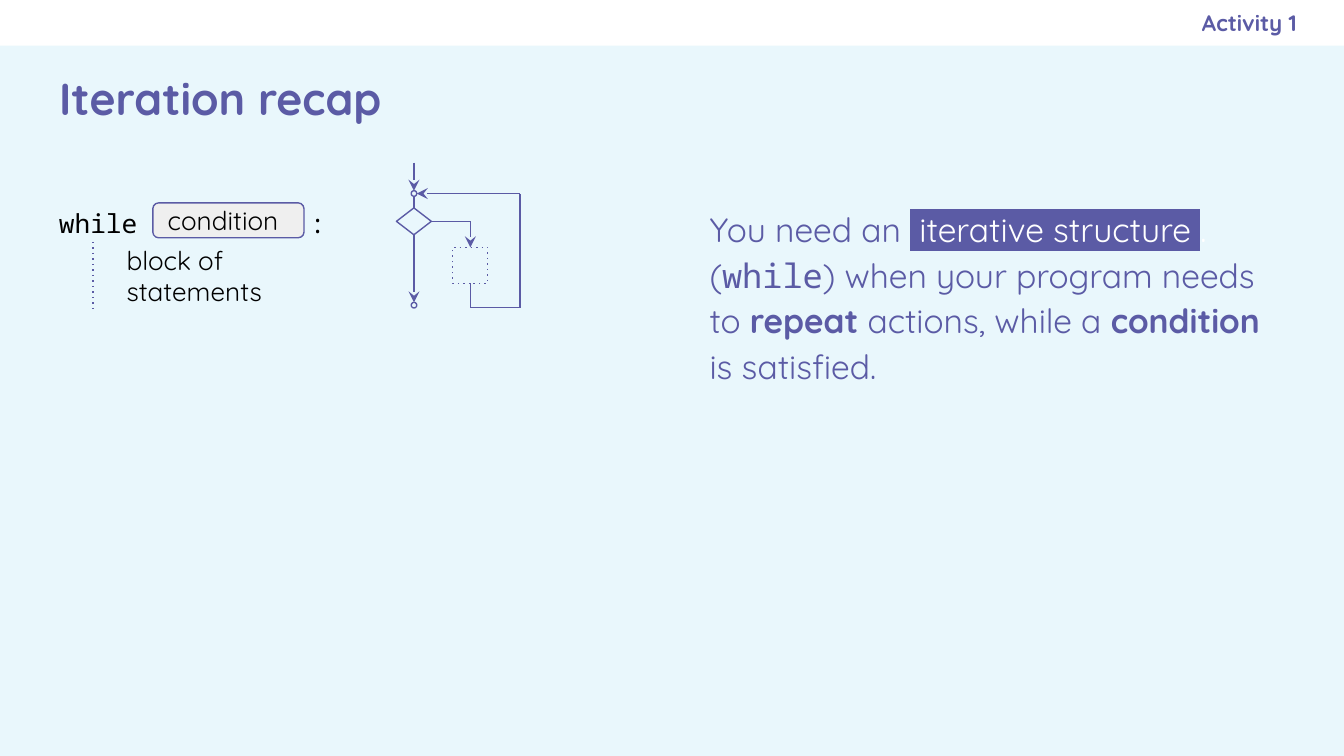
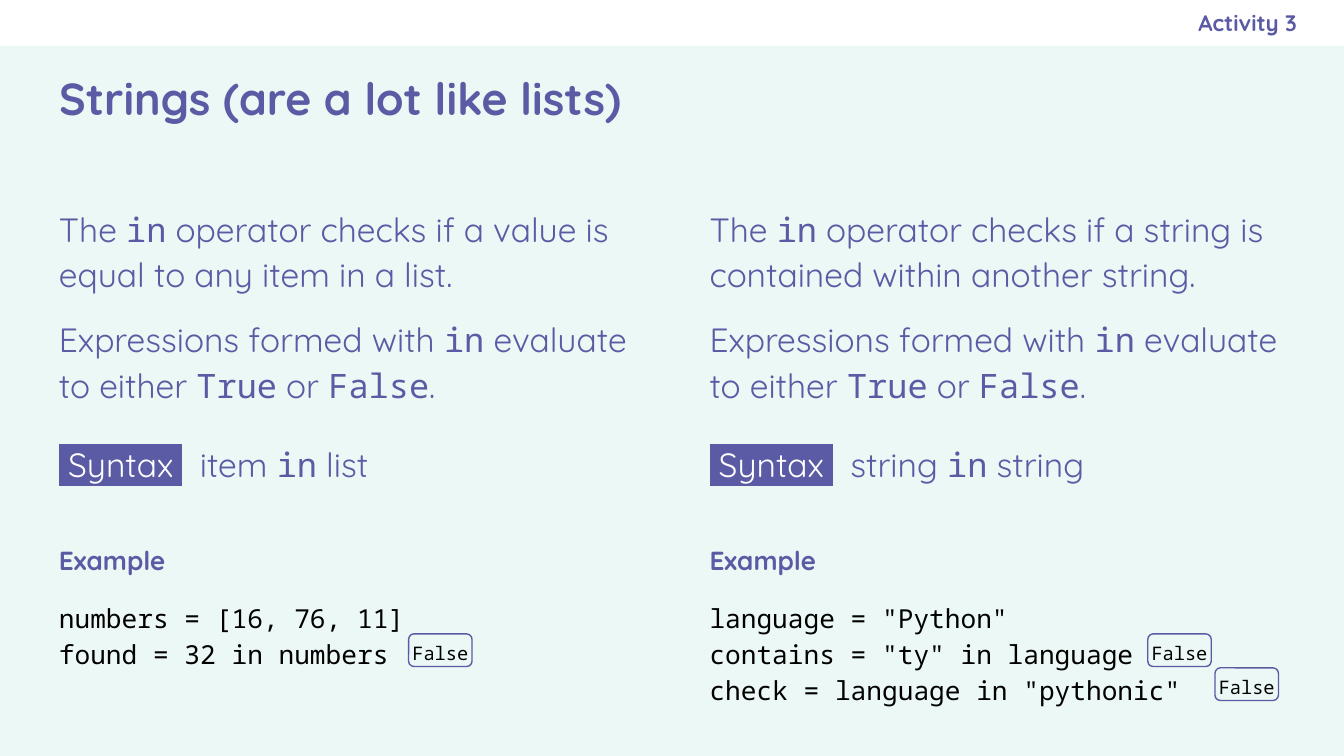
from lxml.etree import SubElement
from pptx import Presentation
from pptx.dml.color import RGBColor
from pptx.enum.shapes import MSO_CONNECTOR, MSO_SHAPE
from pptx.enum.text import MSO_ANCHOR, MSO_AUTO_SIZE, PP_ALIGN
from pptx.oxml.ns import qn
from pptx.util import Pt

VIOLET, WHITE, BLACK, GREY = "5B5BA5", "FFFFFF", "000000", "EFEFEF"
SANS, MONO = "Quicksand", "Noto Sans Mono"
STYLES = {
    "title": (SANS, 24, VIOLET, True),
    "activity": (SANS, 12, VIOLET, True),
    "body": (SANS, 18, VIOLET, False),
    "strong": (SANS, 18, VIOLET, True),
    "keyword": (MONO, 18, VIOLET, False),
    "marked": (SANS, 18, WHITE, False),
    "faint": (SANS, 18, WHITE, False),
    "heading": (SANS, 14, VIOLET, True),
    "label": (SANS, 14, BLACK, False),
    "code": (MONO, 14, BLACK, False),
    "value": (MONO, 10, BLACK, False),
}
BODY_INSETS = (7.2, 7.2, 4.3, 7.2)
EVEN_INSETS = (7.2, 7.2, 7.2, 7.2)
LEFT, RIGHT = 24.5, 373
BODY_TOP, EXAMPLE_TOP = 101.5, 282.2

RECAP = {
    "title": "Iteration recap", "activity": "Activity 1", "background": "E9F7FC",
    "body": [{"spacing": 1.14, "spans": [
        ("You need an ", "body"), (" iterative structure ", "marked"), (".", "faint"),
        (" (", "body"), ("while", "keyword"), (") when your program needs to ", "body"),
        ("repeat", "strong"), (" actions, while a ", "body"), ("condition", "strong"),
        (" is satisfied.", "body")]}],
    "while": [{"spacing": 1.15, "tab": 134.4, "spans": [("while\t:", "code")]}],
    "condition": [{"spans": [("condition", "label")]}],
    "block": [{"spans": [("block of statements", "label")]}],
}
NODES = [
    (MSO_SHAPE.OVAL, (220.3, 102.2, 3, 3), False),
    (MSO_SHAPE.FLOWCHART_DECISION, (212.4, 111.4, 18.7, 14.4), False),
    (MSO_SHAPE.RECTANGLE, (242.6, 132.5, 18.7, 19.4), True),
    (MSO_SHAPE.OVAL, (220.3, 162, 3, 3), False),
]
ROUTES = [
    ([(221.8, 87.1), (221.8, 102.2)], True),
    ([(221.8, 105.2), (221.8, 111.4)], False),
    ([(221.8, 125.8), (221.8, 162)], True),
    ([(231.1, 118.6), (252, 118.6), (252, 132.5)], True),
    ([(252, 151.9), (252, 164.9), (278.6, 164.9), (278.6, 103.7), (223.3, 103.7)], True),
]

STRINGS = {"title": "Strings (are a lot like lists)", "activity": "Activity 3",
           "background": "ECF8F5"}
COLUMNS = [
    {"left": LEFT, "check": " operator checks if a value is equal to any item in a list.",
     "operands": ("item", "list"),
     "code": ["numbers = [16, 76, 11]", "found = 32 in numbers"],
     "results": [(218.9, 339.6)]},
    {"left": RIGHT,
     "check": " operator checks if a string is contained within another string.",
     "operands": ("string", "string"),
     "code": ['language = "Python"', 'contains = "ty" in language',
              'check = language in "pythonic"'],
     "results": [(614.9, 339.6), (650.9, 357.8)]},
]


def color(value):
    """Turn a hex string into a colour."""
    return RGBColor.from_string(value)


def write(frame, paragraphs, insets=EVEN_INSETS, anchor=MSO_ANCHOR.TOP, align=PP_ALIGN.LEFT):
    """Fill a text frame with styled paragraphs."""
    frame.word_wrap = True
    frame.auto_size = MSO_AUTO_SIZE.NONE
    frame.vertical_anchor = anchor
    frame.margin_left, frame.margin_top, frame.margin_right, frame.margin_bottom = map(Pt, insets)
    for index, content in enumerate(paragraphs):
        para = frame.add_paragraph() if index else frame.paragraphs[0]
        if "tab" in content:
            stops = SubElement(para._p.get_or_add_pPr(), qn("a:tabLst"))
            SubElement(stops, qn("a:tab"), pos=str(int(Pt(content["tab"]))), algn="l")
        para.alignment = align
        para.line_spacing = content.get("spacing", 1.0)
        para.space_before = Pt(content.get("before", 0))
        for text, style in content["spans"]:
            span = para.add_run()
            span.text = text
            name, size, ink, bold = STYLES[style]
            span.font.name, span.font.size, span.font.bold = name, Pt(size), bold
            span.font.color.rgb = color(ink)
            if style == "marked":
                properties = span._r.get_or_add_rPr()
                highlight = SubElement(properties, qn("a:highlight"))
                SubElement(highlight, qn("a:srgbClr"), val=VIOLET)
                properties.find(qn("a:solidFill")).addnext(highlight)


def add_text(slide, place, paragraphs, **options):
    """Add a text box."""
    box = slide.shapes.add_textbox(*map(Pt, place))
    write(box.text_frame, paragraphs, **options)


def outline(shape, dotted=False, arrow=False):
    """Draw a thin violet line, dotted or with an arrowhead on request."""
    shape.line.color.rgb = color(VIOLET)
    shape.line.width = Pt(0.75)
    line = shape._element.spPr.find(qn("a:ln"))
    if dotted:
        SubElement(line, qn("a:prstDash"), val="dot")
    if arrow:
        SubElement(line, qn("a:tailEnd"), type="stealth", w="med", len="med")


def add_shape(slide, kind, place, fill=None, lined=True, dotted=False):
    """Add a preset shape without shadow."""
    shape = slide.shapes.add_shape(kind, *map(Pt, place))
    shape.shadow.inherit = False
    if fill:
        shape.fill.solid()
        shape.fill.fore_color.rgb = color(fill)
    else:
        shape.fill.background()
    if lined:
        outline(shape, dotted)
    else:
        shape.line.fill.background()
    return shape


def add_route(slide, points, dotted=False, arrow=False):
    """Join points by straight connectors, with any arrowhead at the end."""
    for start, end in zip(points, points[1:]):
        connector = slide.shapes.add_connector(MSO_CONNECTOR.STRAIGHT, *map(Pt, start + end))
        outline(connector, dotted, arrow and end == points[-1])
        SubElement(connector._element.spPr, qn("a:effectLst"))


def add_slide(deck, content):
    """Add a slide with its background, band, title and activity."""
    slide = deck.slides.add_slide(deck.slide_layouts[5])
    slide.background.fill.solid()
    slide.background.fill.fore_color.rgb = color(content["background"])
    add_shape(slide, MSO_SHAPE.RECTANGLE, (0, 0, 720, 24.5), WHITE, lined=False)
    title = slide.shapes.title
    title.left, title.top, title.width, title.height = map(Pt, (LEFT, 24.5, 671, 55.4))
    write(title.text_frame, [{"spans": [(content["title"], "title")]}], anchor=MSO_ANCHOR.MIDDLE)
    add_text(slide, (414, 0, 280.8, 24.5), [{"spans": [(content["activity"], "activity")]}],
             insets=(7.2, 7.2, 0, 7.2), anchor=MSO_ANCHOR.MIDDLE, align=PP_ALIGN.RIGHT)
    return slide


def add_recap(deck):
    """Build the iteration slide."""
    slide = add_slide(deck, RECAP)
    add_text(slide, (RIGHT, BODY_TOP, 322, 135.4), RECAP["body"], insets=BODY_INSETS)
    add_text(slide, (LEFT, BODY_TOP, 158.4, 67), RECAP["while"])
    condition = add_shape(slide, MSO_SHAPE.ROUNDED_RECTANGLE, (81.9, 108.7, 81, 18.7), GREY)
    write(condition.text_frame, RECAP["condition"], anchor=MSO_ANCHOR.MIDDLE)
    add_route(slide, [(49.8, 129.6), (49.8, 165.6)], dotted=True)
    block = add_shape(slide, MSO_SHAPE.ROUNDED_RECTANGLE, (59, 129.6, 102.2, 36), lined=False)
    write(block.text_frame, RECAP["block"], anchor=MSO_ANCHOR.MIDDLE)
    for kind, place, dotted in NODES:
        add_shape(slide, kind, place, dotted=dotted)
    for points, arrow in ROUTES:
        add_route(slide, points, arrow=arrow)


def add_strings(deck):
    """Build the slide that compares lists and strings."""
    slide = add_slide(deck, STRINGS)
    for column in COLUMNS:
        first, second = column["operands"]
        explanation = [
            {"spacing": 1.14, "spans": [
                ("The ", "body"), ("in", "keyword"), (column["check"], "body")]},
            {"spacing": 1.14, "before": 10, "spans": [
                ("Expressions formed with ", "body"), ("in", "keyword"),
                (" evaluate to either ", "body"), ("True", "keyword"), (" or ", "body"),
                ("False", "keyword"), (".", "body")]},
            {"spacing": 1.12, "before": 18, "tab": 75.5, "spans": [
                (" Syntax ", "marked"), (f"\t{first} ", "body"), ("in", "keyword"),
                (f" {second}", "body")]},
        ]
        example = [{"spacing": 1.12, "spans": [("Example", "heading")]}]
        for index, line in enumerate(column["code"]):
            example.append({"spacing": 1.15, "before": 0 if index else 12,
                            "spans": [(line, "code")]})
        add_text(slide, (column["left"], EXAMPLE_TOP, 322.6, 85), example, insets=BODY_INSETS)
        add_text(slide, (column["left"], BODY_TOP, 322.6, 165.6), explanation, insets=BODY_INSETS)
        for left, top in column["results"]:
            result = add_shape(slide, MSO_SHAPE.ROUNDED_RECTANGLE, (left, top, 34, 17.5))
            write(result.text_frame, [{"spacing": 1.15, "spans": [("False", "value")]}],
                  insets=(0, 1.4, 0, 0), anchor=MSO_ANCHOR.MIDDLE, align=PP_ALIGN.CENTER)


def main():
    """Build and save the deck."""
    deck = Presentation()
    deck.slide_width, deck.slide_height = Pt(720), Pt(405)
    add_recap(deck)
    add_strings(deck)
    deck.save("out.pptx")


if __name__ == "__main__":
    main()
